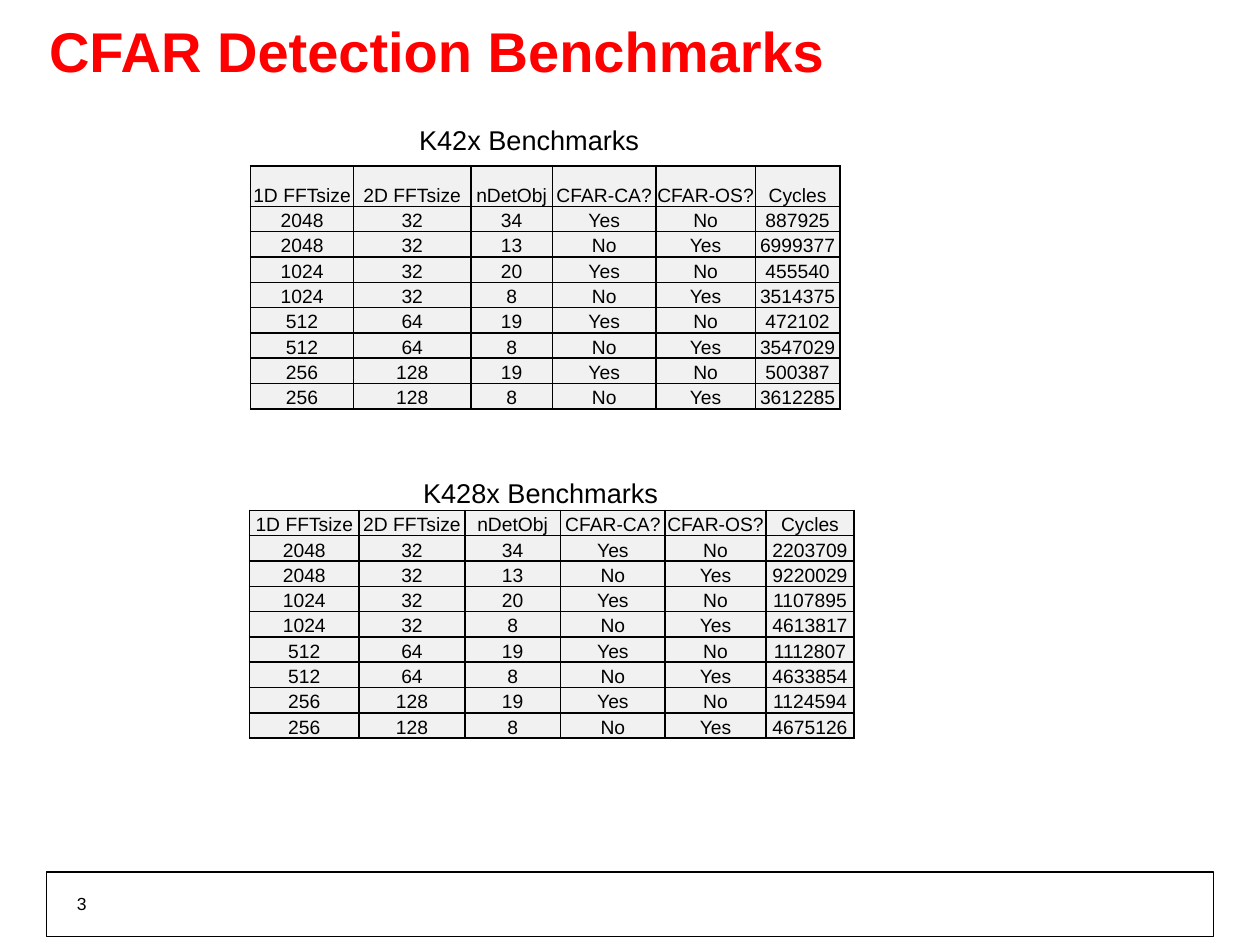
from dataclasses import dataclass
from lxml import etree
from pptx import Presentation, util as u
from pptx.dml.color import RGBColor
from pptx.enum import shapes, text
from pptx.oxml.ns import qn


@dataclass(frozen=True)
class Theme:
    font: str = "Arial"
    ink: str = "000000"
    accent: str = "FF0000"
    cell: str = "F1F1F1"
    title: float = 32
    caption: float = 15.5
    body: float = 11
    number: float = 10
    frame_line: float = 0.75
    grid_line: float = 1


theme = Theme()

# Content
TITLE = "CFAR Detection Benchmarks"
PAGE_NUMBER = "3"
HEADER = ("1D FFTsize", "2D FFTsize", "nDetObj", "CFAR-CA?", "CFAR-OS?", "Cycles")
SIZES = ((2048, 32), (1024, 32), (512, 64), (256, 128))
CA_OBJECTS = (34, 20, 19, 19)
OS_OBJECTS = (13, 8, 8, 8)

# Lengths in centimetres; cycles alternate between CA and OS detection
ROW_HEIGHT = 0.51
BENCHMARKS = (
    dict(caption="K42x Benchmarks", caption_at=(8.2, 2.36), table_at=(5.05, 3.35),
         header_height=0.81, widths=(2.08, 2.36, 1.65, 2.08, 2.01, 1.7),
         cycles=(887925, 6999377, 455540, 3514375, 472102, 3547029, 500387, 3612285)),
    dict(caption="K428x Benchmarks", caption_at=(8.28, 9.47), table_at=(5.03, 10.29),
         header_height=ROW_HEIGHT, widths=(2.21, 2.13, 1.93, 2.11, 2.03, 1.78),
         cycles=(2203709, 9220029, 1107895, 4613817, 1112807, 4633854, 1124594, 4675126)),
)


def style(para, size, color=theme.ink, bold=False):
    for span in para.runs:
        span.font.name, span.font.size, span.font.bold = theme.font, u.Pt(size), bold
        span.font.color.rgb = RGBColor.from_string(color)


def add_text(page, words, left, top, width, height, size, **look):
    box = page.shapes.add_textbox(*map(u.Cm, (left, top, width, height)))
    frame = box.text_frame
    frame.word_wrap = True
    frame.text = words
    style(frame.paragraphs[0], size, **look)
    return frame


def add_borders(cell):
    props = cell._tc.get_or_add_tcPr()
    for index, side in enumerate(("lnL", "lnR", "lnT", "lnB")):
        line = etree.Element(qn("a:" + side), w=str(u.Pt(theme.grid_line)))
        fill = etree.SubElement(line, qn("a:solidFill"))
        etree.SubElement(fill, qn("a:srgbClr"), val=theme.ink)
        props.insert(index, line)


def fill_cell(cell, value):
    cell.text = str(value)
    cell.margin_left = cell.margin_right = cell.margin_top = u.Cm(0.02)
    cell.margin_bottom = 0
    cell.vertical_anchor = text.MSO_ANCHOR.BOTTOM
    para = cell.text_frame.paragraphs[0]
    para.alignment = text.PP_ALIGN.CENTER
    style(para, theme.body)
    cell.fill.solid()
    cell.fill.fore_color.rgb = RGBColor.from_string(theme.cell)
    add_borders(cell)


def benchmark_rows(cycles):
    rows = [HEADER]
    for index, count in enumerate(cycles):
        group, is_os = divmod(index, 2)
        objects = (OS_OBJECTS if is_os else CA_OBJECTS)[group]
        flags = ("No", "Yes") if is_os else ("Yes", "No")
        rows.append((*SIZES[group], objects, *flags, count))
    return rows


def add_benchmark(page, caption, caption_at, table_at, header_height, widths, cycles):
    add_text(page, caption, *caption_at, 6.55, 0.81, theme.caption)
    rows = benchmark_rows(cycles)
    heights = [header_height] + [ROW_HEIGHT] * len(cycles)
    table = page.shapes.add_table(len(rows), len(widths), *map(
        u.Cm, (*table_at, sum(widths), sum(heights)))).table
    table.horz_banding = False
    for column, width in zip(table.columns, widths):
        column.width = u.Cm(width)
    for row, height, values in zip(table.rows, heights, rows):
        row.height = u.Cm(height)
        for cell, value in zip(row.cells, values):
            fill_cell(cell, value)


deck = Presentation()
deck.slide_width, deck.slide_height = u.Cm(25.4), u.Cm(19.05)
page = deck.slides.add_slide(deck.slide_layouts[6])

# Footer frame and page number
footer = page.shapes.add_shape(shapes.MSO_SHAPE.RECTANGLE,
                               *map(u.Cm, (0.94, 17.58, 23.52, 1.3)))
footer.shadow.inherit = False
footer.fill.background()
footer.line.color.rgb = RGBColor.from_string(theme.ink)
footer.line.width = u.Pt(theme.frame_line)
add_text(page, PAGE_NUMBER, 1.3, 17.88, 4.01, 0.58, theme.number)

# Title
heading = add_text(page, TITLE, 0.74, 0.53, 23.5, 1.19, theme.title,
                   color=theme.accent, bold=True)
heading.vertical_anchor = text.MSO_ANCHOR.MIDDLE
heading.paragraphs[0].line_spacing = 0.85

# Captioned tables
for benchmark in BENCHMARKS:
    add_benchmark(page, **benchmark)

deck.save("out.pptx")
